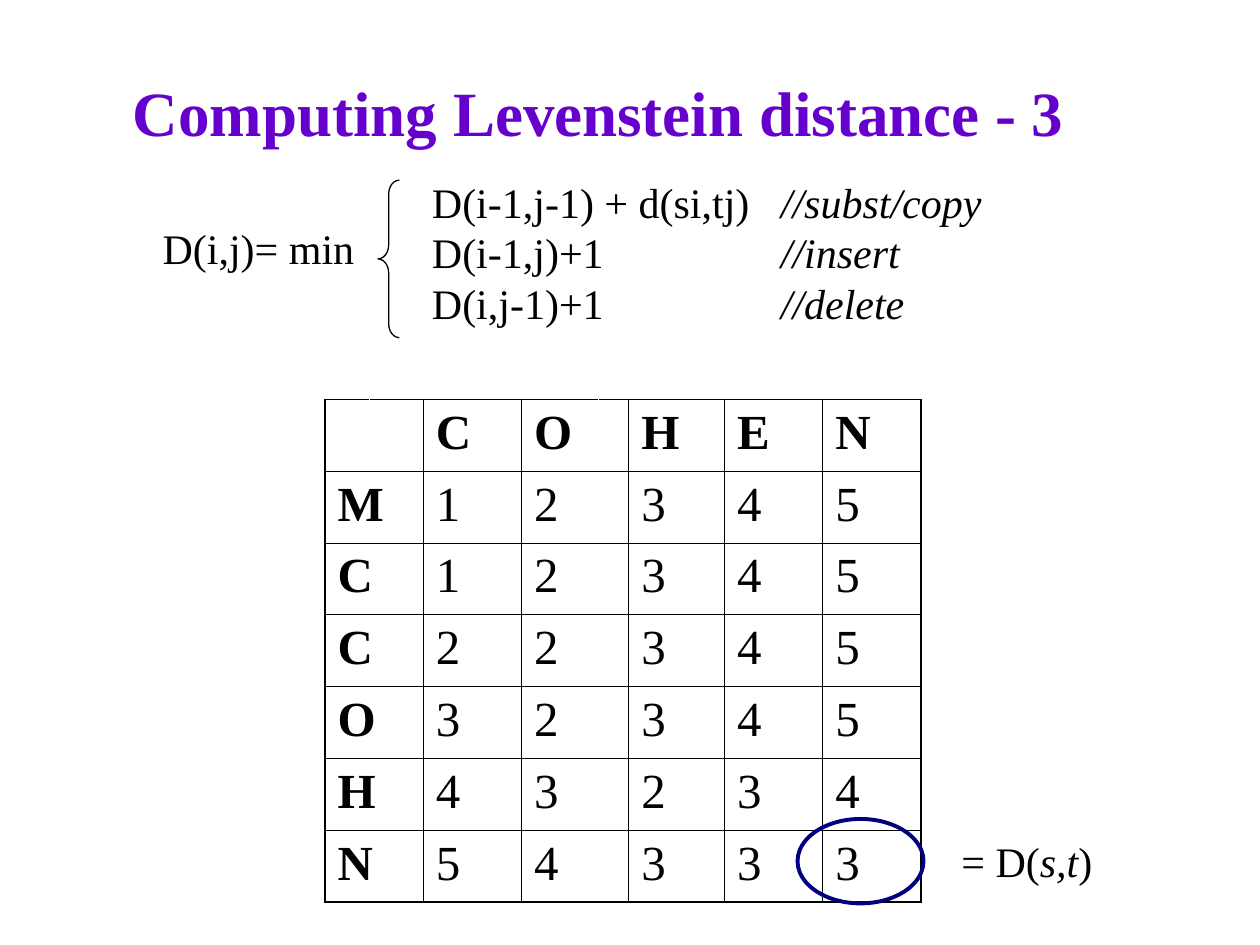
from lxml.etree import SubElement
from pptx import Presentation
from pptx.dml.color import RGBColor
from pptx.enum.shapes import MSO_SHAPE as SHAPE
from pptx.enum.text import MSO_ANCHOR as ANCHOR, MSO_AUTO_SIZE as AUTO, PP_ALIGN as ALIGN
from pptx.oxml.ns import qn
from pptx.util import Inches, Pt

BLACK = RGBColor(0x00, 0x00, 0x00)
WHITE = RGBColor(0xFF, 0xFF, 0xFF)
PURPLE = RGBColor(0x66, 0x00, 0xCC)
NAVY = RGBColor(0x00, 0x00, 0x80)
FONT = "Times New Roman"

CASES = [
    ("D(i-1,j-1) + d(si,tj)", "//subst/copy"),
    ("D(i-1,j)+1", "//insert"),
    ("D(i,j-1)+1", "//delete"),
]
TARGET = "COHEN"
SOURCE = "MCCOHN"
DISTANCES = ["12345", "12345", "22345", "32345", "43234", "54333"]
COL_WIDTHS = [0.35, 0.43, 0.78, 0.61, 0.24, 0.76, 0.78, 0.78]
TEXT_COLS = [0, 2, 3, 5, 6, 7]
SPLIT_ROWS = {0: 1, 3: 2}


def add_run(p, text, size=24, color=BLACK, bold=False, italic=False):
    """Append a formatted run to a paragraph."""
    r = p.add_run()
    r.text = text
    r.font.name = FONT
    r.font.size = Pt(size)
    r.font.color.rgb = color
    r.font.bold = bold
    r.font.italic = italic


def add_text(s, box, lines, align=ALIGN.LEFT, wrap=False, anchor=ANCHOR.TOP, tab=None, **fmt):
    """Add a text box whose lines are lists of (text, italic) pairs."""
    tf = s.shapes.add_textbox(*map(Inches, box)).text_frame
    tf.word_wrap = wrap
    tf.auto_size = AUTO.NONE if wrap else AUTO.SHAPE_TO_FIT_TEXT
    tf.vertical_anchor = anchor
    for i, line in enumerate(lines):
        p = tf.paragraphs[0] if i == 0 else tf.add_paragraph()
        p.alignment = align
        if tab:
            tabs = SubElement(p._p.get_or_add_pPr(), qn("a:tabLst"))
            SubElement(tabs, qn("a:tab"), pos=str(Inches(tab)), algn="l")
        for text, italic in line:
            add_run(p, text, italic=italic, **fmt)


def add_outline(s, kind, box, color, width):
    """Add an unfilled preset shape."""
    sp = s.shapes.add_shape(kind, *map(Inches, box))
    sp.shadow.inherit = False
    sp.fill.background()
    sp.line.color.rgb = color
    sp.line.width = Pt(width)
    return sp


def add_recurrence(s, left, top):
    """Place the recurrence with its brace and three cases."""
    brace = add_outline(s, SHAPE.LEFT_BRACE, (left + 1.81, top + 0.08, 0.17, 1.25), BLACK, 0.75)
    brace.adjustments[0] = 0.65
    add_text(s, (left, top + 0.37, 1.72, 0.5), [[("D(i,j)= min", False)]], align=ALIGN.RIGHT)
    lines = [[(cost + "\t", False), (note, True)] for cost, note in CASES]
    add_text(s, (left + 2.14, top, 4.56, 1.3), lines, tab=2.77)


def set_border(cell, side, color, width):
    """Draw one side of a table cell."""
    ln = SubElement(cell._tc.get_or_add_tcPr(), qn("a:ln" + side), w=str(Pt(width)))
    fill = SubElement(ln, qn("a:solidFill"))
    SubElement(fill, qn("a:srgbClr"), val=str(color))


def style_cell(cell, row, col, last_row, last_col):
    """Clear the fill of a cell and rule its sides."""
    split_right = row < SPLIT_ROWS.get(col, 0)
    split_left = row < SPLIT_ROWS.get(col - 1, 0)
    set_border(cell, "L", WHITE if split_left else BLACK, 1.08 if col == 0 else 0.45)
    set_border(cell, "R", WHITE if split_right else BLACK, 1.08 if col == last_col else 0.45)
    set_border(cell, "T", BLACK, 0.45)
    set_border(cell, "B", BLACK, 1.08 if row == last_row else 0.45)
    cell.fill.background()


def add_matrix(s, left, top, width, height):
    """Place the distance matrix as a table."""
    rows = [" " + TARGET] + [a + b for a, b in zip(SOURCE, DISTANCES)]
    n_rows, n_cols = len(rows), len(COL_WIDTHS)
    box = map(Inches, (left, top, width, height))
    table = s.shapes.add_table(n_rows, n_cols, *box).table
    table.first_row = table.horz_banding = False
    for column, w in zip(table.columns, COL_WIDTHS):
        column.width = Inches(w)
    for i, row in enumerate(rows):
        table.rows[i].height = Inches(height / n_rows)
        for j in range(n_cols):
            style_cell(table.cell(i, j), i, j, n_rows - 1, n_cols - 1)
        for j, text in zip(TEXT_COLS, row):
            if text.strip():
                p = table.cell(i, j).text_frame.paragraphs[0]
                add_run(p, text, size=28, bold=i == 0 or j == 0)
        for j, split_rows in SPLIT_ROWS.items():
            if i >= split_rows:
                table.cell(i, j).merge(table.cell(i, j + 1))


def add_result(s, left, top):
    """Ring the final distance and label it."""
    add_outline(s, SHAPE.OVAL, (left, top, 1, 0.67), NAVY, 2.25)
    label = [("= D(", False), ("s,t", True), (")", False)]
    add_text(s, (left + 1.2, top + 0.08, 1.24, 0.5), [label], align=ALIGN.CENTER)


def main():
    """Build and save the slide."""
    prs = Presentation()
    prs.slide_width, prs.slide_height = Inches(10), Inches(7.5)
    s = prs.slides.add_slide(prs.slide_layouts[6])
    add_text(s, (0.5, 0.42, 8.5, 0.92), [[("Computing Levenstein distance - 3", False)]],
             align=ALIGN.CENTER, wrap=True, anchor=ANCHOR.MIDDLE,
             size=36, color=PURPLE, bold=True)
    add_recurrence(s, 1.19, 1.35)
    add_matrix(s, 2.58, 3.17, 4.73, 3.99)
    add_result(s, 6.33, 6.5)
    prs.save("out.pptx")


if __name__ == "__main__":
    main()
